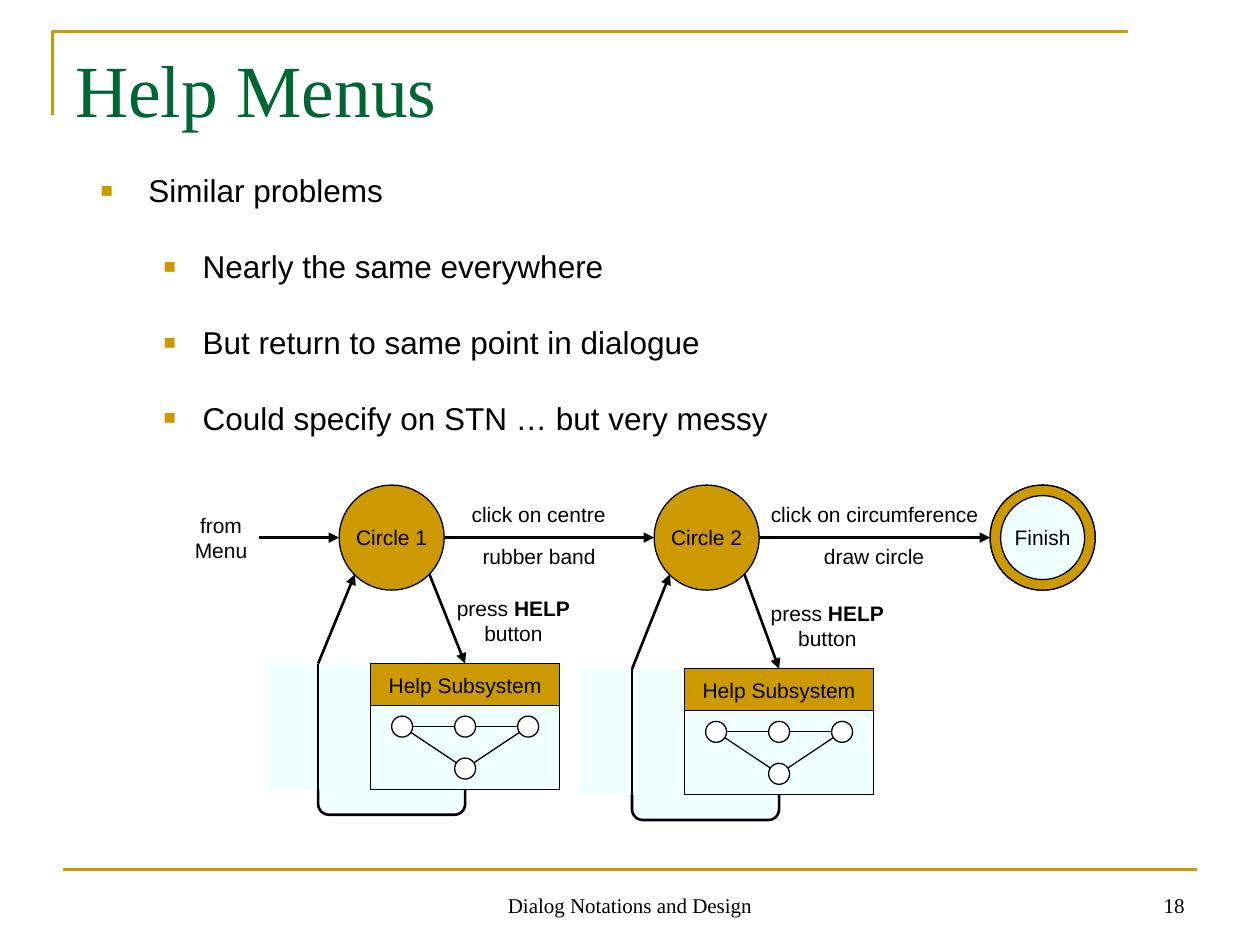
from lxml.etree import SubElement
from pptx import Presentation
from pptx.dml.color import RGBColor
from pptx.enum.shapes import MSO_CONNECTOR, MSO_SHAPE as SHAPE
from pptx.enum.text import MSO_ANCHOR as ANCHOR, MSO_AUTO_SIZE as FIT, PP_ALIGN as ALIGN
from pptx.oxml.ns import qn
from pptx.util import Inches, Pt

GOLD = RGBColor(0xCC, 0x99, 0x00)
GREEN = RGBColor(0x00, 0x66, 0x33)
AZURE = RGBColor(0xF0, 0xFF, 0xFF)
WHITE = RGBColor(0xFF, 0xFF, 0xFF)
BLACK = RGBColor(0x00, 0x00, 0x00)
SERIF = "Times New Roman"

prs = Presentation()
prs.slide_width, prs.slide_height = Inches(10), Inches(7.5)
s = prs.slides.add_slide(prs.slide_layouts[6])
U = prs.slide_width / 120


def box(kind, x, y, w, h, paras=(), fill=None, line=0.75, font="Arial", size=12,
        color=BLACK, align=ALIGN.CENTER, anchor=ANCHOR.TOP, wrap=False):
    area = [round(v * U) for v in (x, y, w, h)]
    if kind is None:
        sp = s.shapes.add_textbox(*area)
    else:
        sp = s.shapes.add_shape(kind, *area)
        sp.shadow.inherit = False
        sp.fill.solid()
        sp.fill.fore_color.rgb = fill
        if line:
            sp.line.color.rgb = BLACK
            sp.line.width = Pt(line)
        else:
            sp.line.fill.background()
    tf = sp.text_frame
    tf.word_wrap = wrap
    tf.vertical_anchor = anchor
    if kind is None and not wrap:
        tf.auto_size = FIT.SHAPE_TO_FIT_TEXT
    for i, parts in enumerate(paras):
        p = tf.add_paragraph() if i else tf.paragraphs[0]
        p.alignment = align
        for part in parts:
            if part == "\n":
                p.add_line_break()
                continue
            r = p.add_run()
            r.text = part
            r.font.name, r.font.size = font, Pt(size)
            r.font.color.rgb = color
            r.font.bold = part == "HELP"
    return sp


def line(x1, y1, x2, y2, width=1.5, color=BLACK, arrow=False):
    c = s.shapes.add_connector(MSO_CONNECTOR.STRAIGHT,
                               *[round(v * U) for v in (x1, y1, x2, y2)])
    c.line.color.rgb = color
    c.line.width = Pt(width)
    if arrow:
        SubElement(c.line._get_or_add_ln(), qn("a:tailEnd"), type="triangle")
    SubElement(c._element.spPr, qn("a:effectLst"))


fb = s.shapes.build_freeform(50, 110, scale=U / 10)
fb.add_line_segments([(50, 30), (1074, 30)], close=False)
frame = fb.convert_to_shape()
frame.shadow.inherit = False
frame.fill.background()
frame.line.color.rgb = GOLD
frame.line.width = Pt(1.5)
line(6, 82.8, 114, 82.8, color=GOLD)

box(None, 86, 82, 28, 6, [["18"]], font=SERIF, align=ALIGN.RIGHT,
    anchor=ANCHOR.BOTTOM, wrap=True)
box(None, 41, 82, 38, 6, [["Dialog Notations and Design"]], font=SERIF,
    anchor=ANCHOR.BOTTOM, wrap=True)
box(None, 6, 3.6, 108, 15, [["Help Menus"]], font=SERIF, size=42,
    color=GREEN, align=ALIGN.LEFT, wrap=True)

body = box(None, 8.4, 12.84, 111.6, 33,
           [["Similar problems"], ["Nearly the same everywhere"],
            ["But return to same point in dialogue"],
            ["Could specify on STN … but very messy"]],
           size=18, align=ALIGN.LEFT, wrap=True)
for i, p in enumerate(body.text_frame.paragraphs):
    left, hang = (0.81, 0.31) if i else (0.38, 0.38)
    p.level = min(i, 1)
    p.line_spacing = 1.8
    if i:
        p.space_before = Pt(4.5)
    pPr = p._p.get_or_add_pPr()
    pPr.set("marL", str(Inches(left)))
    pPr.set("indent", str(-Inches(hang)))
    SubElement(SubElement(pPr, qn("a:buClr")), qn("a:srgbClr"), val=str(GOLD))
    SubElement(pPr, qn("a:buSzPct"), val="65000")
    SubElement(pPr, qn("a:buFont"), typeface="Arial")
    SubElement(pPr, qn("a:buChar"), char="■")

D = 10
TOP = 46.2
MID = TOP + D / 2
C1, C2, FINISH = 32.3, 62.3, 94.3

for name, cx, x, y in [("Circle 1", C1, 35.3, 63.2), ("Circle 2", C2, 65.2, 63.7)]:
    loop = box(SHAPE.ROUNDED_RECTANGLE, x - 5, y + 8.4, 14, 6, fill=AZURE, line=1.5)
    loop.adjustments[0] = 0.17
    box(SHAPE.RECTANGLE, x - 10, y, 10, 12, fill=AZURE, line=0)
    box(SHAPE.RECTANGLE, x, y, 18, 12, fill=AZURE)
    box(SHAPE.RECTANGLE, x, y, 18, 4, [["Help Subsystem"]], GOLD, anchor=ANCHOR.MIDDLE)
    nodes = [(x + dx, y + dy) for dx, dy in [(3, 6), (9, 10), (15, 6), (9, 6)]]
    for a, b in [(0, 1), (2, 1), (2, 0)]:
        line(*nodes[a], *nodes[b], width=0.75)
    for nx, ny in nodes:
        box(SHAPE.OVAL, nx - 1, ny - 1, 2, 2, fill=WHITE)
    box(SHAPE.OVAL, cx, TOP, D, D, [[name]], GOLD, anchor=ANCHOR.MIDDLE)
    box(None, x + 7, y - 7.1, 13.2, 6, [["press ", "HELP", "\n", "button"]])
    line(cx + 8.6, 54.7, x + 9, y, arrow=True)
    line(x - 5, y + 12, x - 5, y)
    line(x - 5, y, cx + 1.5, 54.7, arrow=True)

box(SHAPE.OVAL, FINISH, TOP, D, D, [["Finish"]], AZURE, anchor=ANCHOR.MIDDLE)
ring = box(SHAPE.DONUT, FINISH, TOP, D, D, fill=GOLD)
ring.adjustments[0] = 0.1

for start, end in [(24.7, C1), (C1 + D, C2), (C2 + D, FINISH)]:
    line(start, MID, end, MID, arrow=True)

for x, y, w, paras in [
    (16.8, 48.2, 8.5, [["from"], ["Menu"]]),
    (43.3, 47.2, 16, [["click on centre"]]),
    (44.4, MID, 13.9, [["rubber band"]]),
    (72.2, 47.2, 22.2, [["click on circumference"]]),
    (76.3, MID, 13.9, [["draw circle"]]),
]:
    box(None, x, y, w, 3.6 if len(paras) == 1 else 6, paras)

prs.save("out.pptx")
